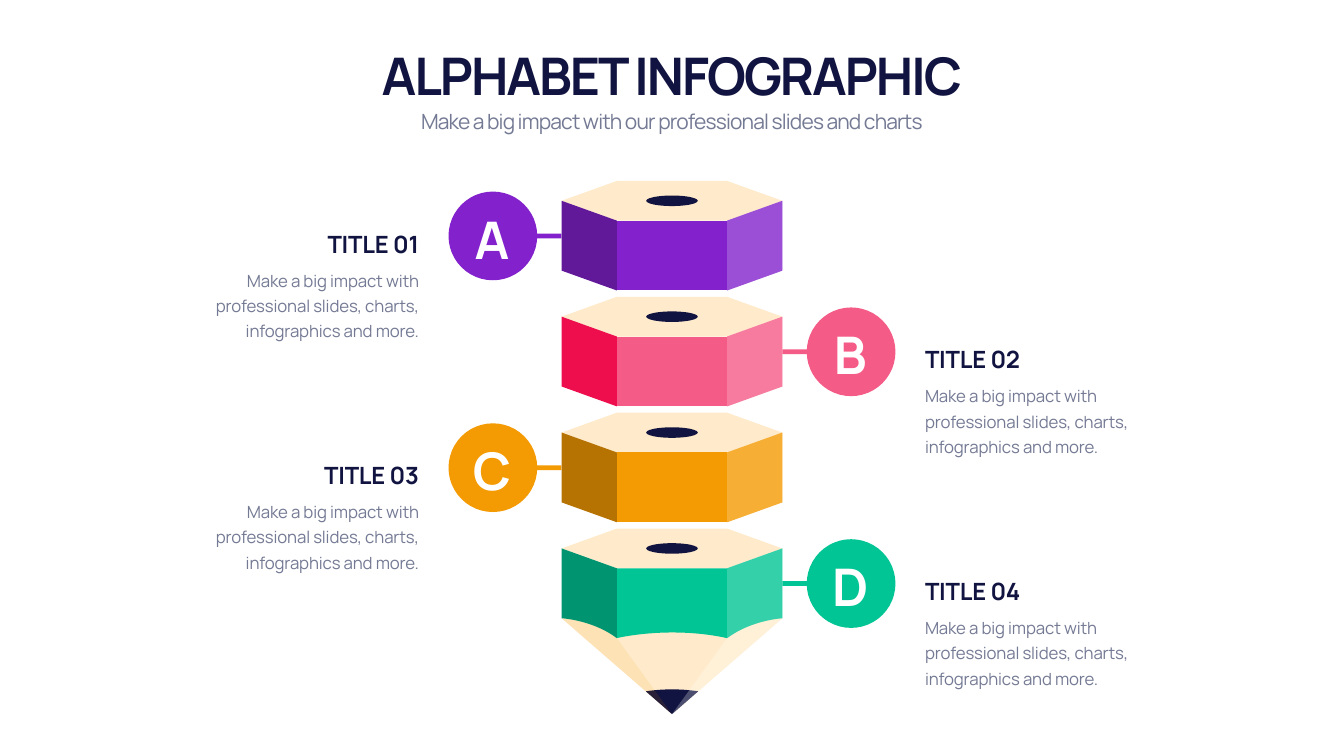
from lxml import etree
from pptx import Presentation
from pptx import util as u
from pptx.dml.color import RGBColor
from pptx.enum import shapes, text
from pptx.oxml.ns import qn

FONT = "Manrope"
NAVY = RGBColor(0x11, 0x13, 0x40)
GREY = RGBColor(0x74, 0x7A, 0x94)
WHITE = RGBColor(0xFF, 0xFF, 0xFF)
WOOD = RGBColor(0xFF, 0xEB, 0xCB)
PURPLE = RGBColor(0x83, 0x22, 0xCC)
DARK_PURPLE = RGBColor(0x62, 0x19, 0x99)
PINK = RGBColor(0xF5, 0x5B, 0x87)
RED = RGBColor(0xEE, 0x0E, 0x4E)
ORANGE = RGBColor(0xF4, 0x9A, 0x02)
BROWN = RGBColor(0xB7, 0x73, 0x01)
GREEN = RGBColor(0x02, 0xC5, 0x95)
DARK_GREEN = RGBColor(0x01, 0x94, 0x70)

SLIDE_W, SLIDE_H = 67.72, 38.1
BLOCK_W, QUARTER = 11.12, 2.78
BLOCK_X = (SLIDE_W - BLOCK_W) / 2
FIRST_Y, STEP = 9.12, 5.84
RIM, SIDE = 1.0, 3.52
SHOULDER, BASE, APEX = RIM + SIDE, 2 * RIM + SIDE, 9.35
HOLE_W, HOLE_H = 2.6, 0.53
BADGE, BADGE_GAP, BAR_W, BAR_H = 4.47, 1.23, 1.27, 0.24
CENTER_Y = 2.77
CAPTION_W, CAPTION_GAP = 12.93, 6.94

HEADING = dict(size=u.Pt(74), bold=True, name=FONT)
SUBHEADING = dict(size=u.Pt(30), name=FONT)
TITLE = dict(size=u.Pt(34), bold=True, name=FONT)
BODY = dict(size=u.Pt(24), name=FONT)

BODY_TEXT = "Make a big impact with professional slides, charts, infographics and more."
STEPS = [
    ("A", "TITLE 01", PURPLE, DARK_PURPLE),
    ("B", "TITLE 02", PINK, RED),
    ("C", "TITLE 03", ORANGE, BROWN),
    ("D", "TITLE 04", GREEN, DARK_GREEN),
]


def paint(sp, color, alpha=None):
    sp.shadow.inherit = False
    sp.fill.solid()
    sp.fill.fore_color.rgb = color
    sp.line.fill.background()
    if alpha is not None:
        clr = sp.fill._xPr.find(qn("a:solidFill"))[0]
        etree.SubElement(clr, qn("a:alpha")).set("val", str(alpha * 1000))


def add_preset(parent, kind, x, y, w, h, color):
    paint(parent.add_shape(kind, u.Cm(x), u.Cm(y), u.Cm(w), u.Cm(h)), color)


def add_outline(parent, x, y, points, color, alpha=None):
    spots = [(u.Cm(x + px), u.Cm(y + py)) for px, py in points]
    builder = parent.build_freeform(*spots[0])
    builder.add_line_segments(spots[1:], close=True)
    paint(builder.convert_to_shape(), color, alpha)


def curve(a, b, c, d, count=24):
    result = []
    for i in range(count + 1):
        t = i / count
        weights = ((1 - t) ** 3, 3 * t * (1 - t) ** 2, 3 * t * t * (1 - t), t ** 3)
        result.append(tuple(sum(k * p[axis] for k, p in zip(weights, (a, b, c, d)))
                            for axis in (0, 1)))
    return result


def mirrored(points):
    return [(BLOCK_W - px, py) for px, py in points]


def add_text(slide, x, y, w, h, words, font, color, spacing, align,
             anchor=text.MSO_ANCHOR.TOP, leading=None):
    tf = slide.shapes.add_textbox(u.Cm(x), u.Cm(y), u.Cm(w), u.Cm(h)).text_frame
    frame = dict(word_wrap=True, auto_size=text.MSO_AUTO_SIZE.SHAPE_TO_FIT_TEXT,
                 vertical_anchor=anchor)
    for key, value in frame.items():
        setattr(tf, key, value)
    p = tf.paragraphs[0]
    p.alignment = align
    if leading:
        p.line_spacing = u.Pt(leading)
    r = p.add_run()
    r.text = words
    for key, value in font.items():
        setattr(r.font, key, value)
    r.font.color.rgb = color
    r.font._element.set("spc", str(round(spacing * 100)))


def add_header(slide, x, y, w):
    center = text.PP_ALIGN.CENTER
    add_text(slide, x, y, w, 3.51, "ALPHABET INFOGRAPHIC", HEADING, NAVY, -2.9,
             center, text.MSO_ANCHOR.BOTTOM, 94)
    add_text(slide, x, y + 3.18, w, 1.68,
             "Make a big impact with our professional slides and charts",
             SUBHEADING, GREY, -1.2, center, leading=42)


def add_badge(slide, x, y, letter, color, on_left):
    bar_x = x + BADGE - 0.05 if on_left else x - BADGE_GAP
    add_preset(slide.shapes, shapes.MSO_SHAPE.RECTANGLE,
               bar_x, y + (BADGE - BAR_H) / 2, BAR_W, BAR_H, color)
    add_preset(slide.shapes, shapes.MSO_SHAPE.OVAL, x, y, BADGE, BADGE, color)
    add_text(slide, x + 0.5, y + 0.64, 3.38, 3.43, letter, HEADING, WHITE, -2.9,
             text.PP_ALIGN.CENTER, text.MSO_ANCHOR.MIDDLE)


def add_caption(slide, x, y, title, on_left):
    align = text.PP_ALIGN.RIGHT if on_left else text.PP_ALIGN.LEFT
    add_text(slide, x, y, CAPTION_W, 1.7, title, TITLE, NAVY, -0.3, align,
             text.MSO_ANCHOR.BOTTOM)
    add_text(slide, x, y + 1.82, CAPTION_W, 4.01, BODY_TEXT, BODY, GREY, -0.2,
             align, leading=36)


def add_tip(parent, x, y):
    apex = (BLOCK_W / 2, APEX)
    cone = [(0, SHOULDER), (BLOCK_W, SHOULDER), apex]
    lead = curve((4.24, 8.2), (5.12, 8.07), (6.0, 8.07), (6.88, 8.2)) + [apex]
    facet = [(QUARTER, BASE), apex, (0, SHOULDER), (QUARTER, SHOULDER)]
    add_outline(parent, x, y, cone, WOOD)
    add_outline(parent, x, y, lead, NAVY)
    add_outline(parent, x, y, mirrored(facet), WHITE, 25)
    add_outline(parent, x, y, facet, ORANGE, 10)


def add_block(slide, x, y, color, dark, has_tip):
    parent = slide.shapes.add_group_shape().shapes
    inner, outer = QUARTER, BLOCK_W - QUARTER
    side_edge = [(0, SHOULDER), (inner, BASE)]
    front_edge = [(inner, BASE), (outer, BASE)]
    if has_tip:
        add_tip(parent, x, y)
        side_edge = curve(side_edge[0], side_edge[0], (1.55, 4.6), side_edge[1])
        front_edge = curve(front_edge[0], front_edge[0], (5.41, 4.88), front_edge[1])
    top = [(0, RIM), (inner, 0), (outer, 0), (BLOCK_W, RIM),
           (outer, 2 * RIM), (inner, 2 * RIM)]
    side = [(inner, 2 * RIM), (0, RIM)] + side_edge
    front = [(outer, 2 * RIM), (inner, 2 * RIM)] + front_edge
    add_outline(parent, x, y, top, WOOD)
    add_outline(parent, x, y, front, color)
    add_outline(parent, x, y, side, dark)
    add_outline(parent, x, y, mirrored(side), color)
    add_outline(parent, x, y, mirrored(side), WHITE, 20)
    add_preset(parent, shapes.MSO_SHAPE.OVAL, x + (BLOCK_W - HOLE_W) / 2,
               y + RIM - HOLE_H / 2, HOLE_W, HOLE_H, NAVY)


def add_step(slide, x, y, step, on_left, has_tip):
    letter, title, color, dark = step
    badge_x = x - BADGE_GAP - BADGE if on_left else x + BLOCK_W + BADGE_GAP
    caption_x = x - CAPTION_GAP - CAPTION_W if on_left else x + BLOCK_W + CAPTION_GAP
    add_badge(slide, badge_x, y + CENTER_Y - BADGE / 2, letter, color, on_left)
    add_caption(slide, caption_x, y + 2.3, title, on_left)
    add_block(slide, x, y, color, dark, has_tip)


def main():
    prs = Presentation()
    prs.slide_width, prs.slide_height = u.Cm(SLIDE_W), u.Cm(SLIDE_H)
    slide = prs.slides.add_slide(prs.slide_layouts[6])
    add_header(slide, 4.22, 1.93, 59.26)
    for i, step in enumerate(STEPS):
        add_step(slide, BLOCK_X, FIRST_Y + i * STEP, step,
                 i % 2 == 0, i == len(STEPS) - 1)
    prs.save("out.pptx")


if __name__ == "__main__":
    main()
